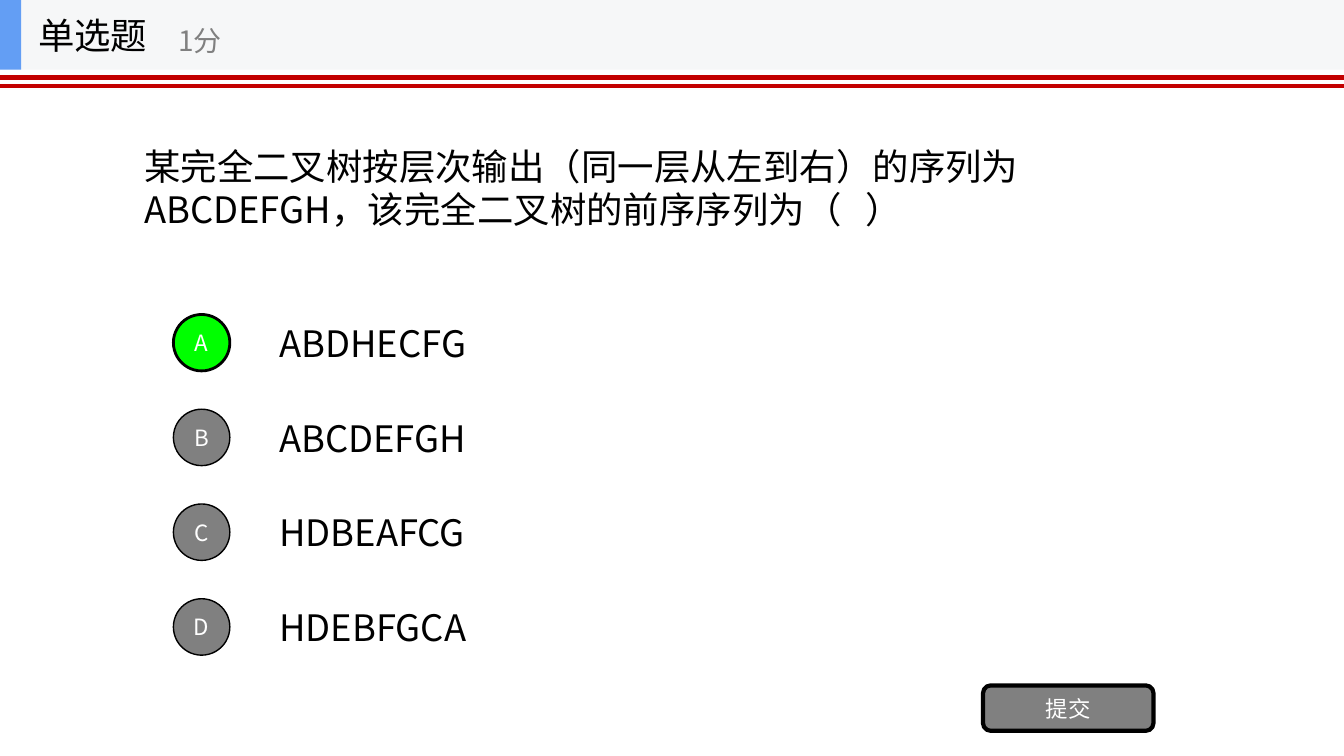
from pptx import Presentation
from pptx.dml.color import RGBColor
from pptx.enum import shapes, text
from pptx.oxml.ns import qn
from pptx.util import Inches, Pt

FONT = "Noto Sans CJK SC"
BLACK, WHITE, GREY = "000000", "FFFFFF", "808080"
RED, GREEN, PALE, BLUE = "C30000", "00FF00", "F6F7F8", "639EF4"


def colour(value):
    return RGBColor.from_string(value)


def write(box, words, size=26, ink=BLACK, align=text.PP_ALIGN.LEFT, wrap=True, margin=0.1):
    frame = box.text_frame
    frame.auto_size = text.MSO_AUTO_SIZE.NONE
    frame.word_wrap = wrap
    frame.vertical_anchor = text.MSO_ANCHOR.MIDDLE
    frame.margin_left = frame.margin_right = Inches(margin)
    frame.margin_top = frame.margin_bottom = Inches(margin / 2)
    para = frame.paragraphs[0]
    para.alignment = align
    span = para.add_run()
    span.text = words
    span.font.name = FONT
    span.font.size = Pt(size)
    span.font.color.rgb = colour(ink)
    properties = span.font._element
    east_asian = properties.makeelement(qn("a:ea"), {"typeface": FONT})
    properties.find(qn("a:latin")).addnext(east_asian)


def add_label(page, left, top, width, height, words, **style):
    box = page.shapes.add_textbox(Inches(left), Inches(top), Inches(width), Inches(height))
    write(box, words, **style)


def add_block(page, kind, left, top, width, height, fill, border=0):
    block = page.shapes.add_shape(kind, Inches(left), Inches(top), Inches(width), Inches(height))
    block.shadow.inherit = False
    block.fill.solid()
    block.fill.fore_color.rgb = colour(fill)
    if border:
        block.line.color.rgb = colour(BLACK)
        block.line.width = Pt(border)
    else:
        block.line.fill.background()
    return block


def add_button(page, kind, left, top, width, height, words, fill=GREY, border=1):
    button = add_block(page, kind, left, top, width, height, fill, border)
    write(button, words, size=16, ink=WHITE, align=text.PP_ALIGN.CENTER, margin=0)


def add_rules(page, left, top, width, gap=0.08):
    for y in (top, top + gap):
        rule = page.shapes.add_connector(
            shapes.MSO_CONNECTOR.STRAIGHT, Inches(left), Inches(y), Inches(left + width), Inches(y))
        rule.line.color.rgb = colour(RED)
        rule.line.width = Pt(3)
        properties = rule._element.spPr
        properties.append(properties.makeelement(qn("a:effectLst"), {}))


def add_question(page, left, top, width, height, words):
    title = page.shapes.title
    title.left, title.top = Inches(left), Inches(top)
    title.width, title.height = Inches(width), Inches(height)
    write(title, words)


def add_options(page, left, top, width, row_height, pitch, answers, correct):
    circle, indent = 0.56, 0.95
    for row, (letter, answer) in enumerate(answers.items()):
        y = top + row * pitch
        chosen = letter == correct
        add_label(page, left + indent, y, width - indent, row_height, answer)
        add_button(page, shapes.MSO_SHAPE.OVAL, left, y + (row_height - circle) / 2, circle, circle,
                   letter, fill=GREEN if chosen else GREY, border=2 if chosen else 1)


def add_header(page, left, top, width, height, kind, score):
    add_block(page, shapes.MSO_SHAPE.RECTANGLE, left, top, width, height, PALE)
    add_block(page, shapes.MSO_SHAPE.RECTANGLE, left, top, 0.21, height, BLUE)
    add_label(page, left + 0.28, top, 2.08, height, kind, wrap=False)
    add_label(page, left + 1.67, top + 0.12, 2.5, 0.56, score, size=20, ink=GREY, wrap=False)


def main():
    deck = Presentation()
    deck.slide_width, deck.slide_height = Inches(13.33), Inches(7.5)
    page = deck.slides.add_slide(deck.slide_layouts[5])
    add_rules(page, 0, 0.77, 13.33)
    add_question(page, 1.33, 0.69, 10.67, 2.34,
                 "某完全二叉树按层次输出（同一层从左到右）的序列为ABCDEFGH，该完全二叉树的前序序列为（   ）")
    answers = {"A": "ABDHECFG", "B": "ABCDEFGH", "C": "HDBEAFCG", "D": "HDEBFGCA"}
    add_options(page, 1.72, 3.05, 10.28, 0.7, 0.94, answers, correct="A")
    add_button(page, shapes.MSO_SHAPE.ROUNDED_RECTANGLE, 9.75, 6.8, 1.69, 0.45, "提交", border=3)
    add_header(page, 0, 0, 13.33, 0.69, "单选题", "1分")
    deck.save("out.pptx")


if __name__ == "__main__":
    main()
